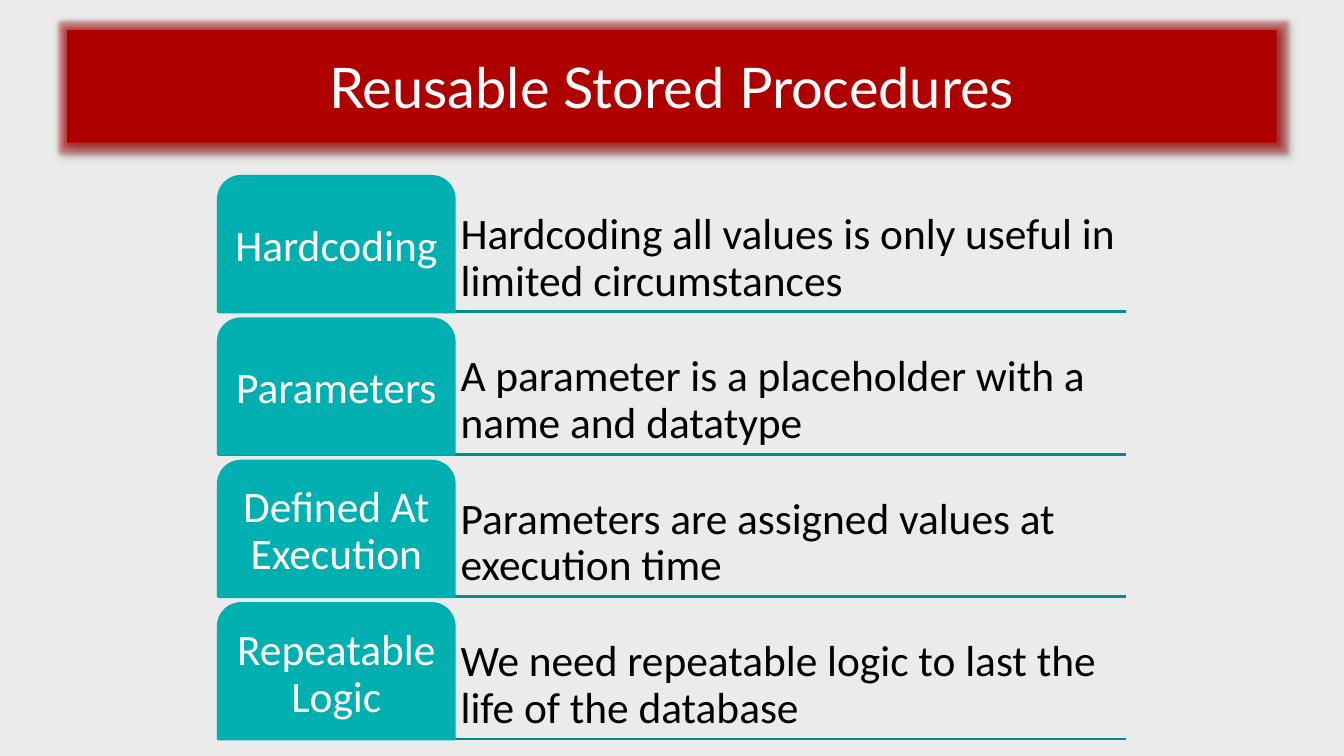
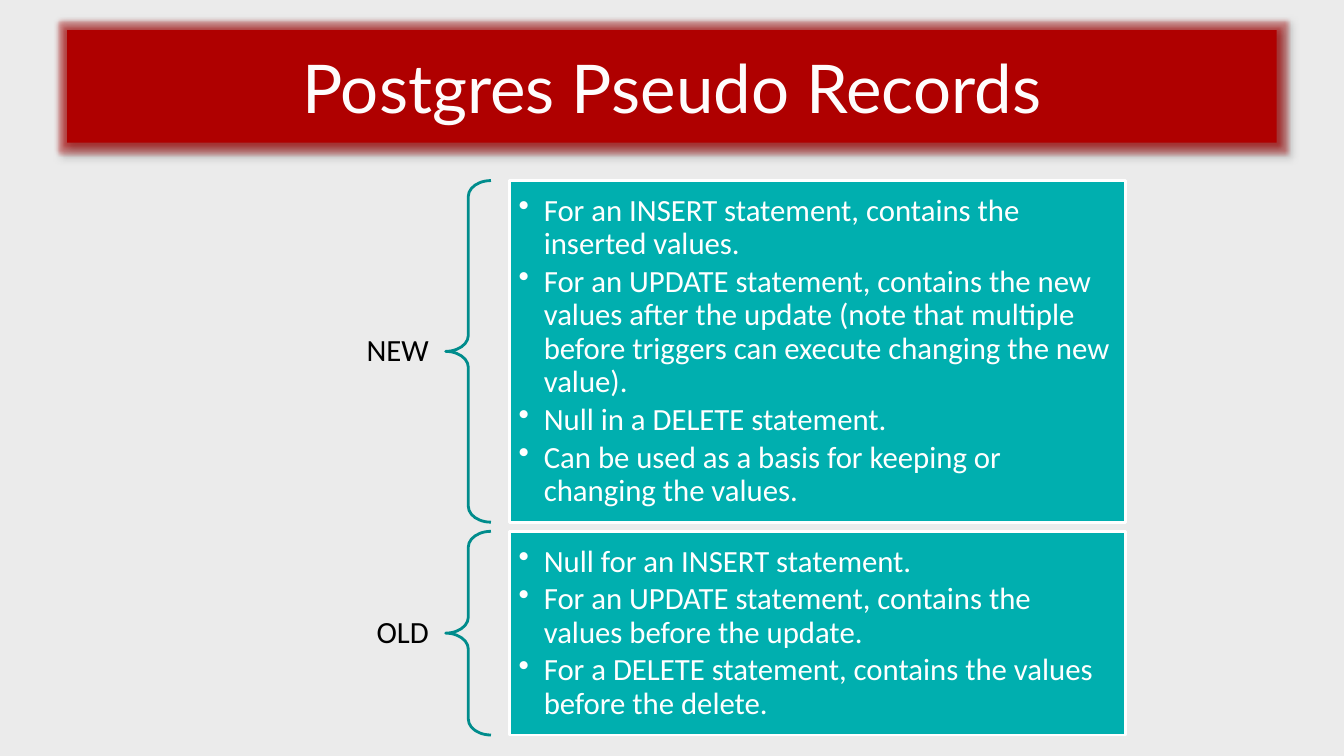
"""Build two slides on stored procedures and Postgres pseudo records."""
from lxml import etree
from pptx import Presentation
from pptx.dml.color import RGBColor
from pptx.enum.shapes import MSO_CONNECTOR, MSO_SHAPE
from pptx.enum.text import MSO_ANCHOR, PP_ALIGN
from pptx.oxml import parse_xml
from pptx.oxml.ns import nsdecls, qn
from pptx.util import Pt

STRAIGHT = MSO_CONNECTOR.STRAIGHT
RECTANGLE, TAB, BRACE = MSO_SHAPE.RECTANGLE, MSO_SHAPE.ROUND_2_SAME_RECTANGLE, MSO_SHAPE.LEFT_BRACE
MIDDLE, BOTTOM = MSO_ANCHOR.MIDDLE, MSO_ANCHOR.BOTTOM
LEFT, CENTER, RIGHT = PP_ALIGN.LEFT, PP_ALIGN.CENTER, PP_ALIGN.RIGHT

COLORS = {"background": "EBEBEB", "band": "AF0000", "title": "FEFCFC", "teal": "00AFAF",
          "dark teal": "008C8C", "white": "FFFFFF", "black": "000000"}
TITLE_EFFECTS = f"""<a:effectLst {nsdecls("a")}>
  <a:glow rad="63500"><a:srgbClr val="{COLORS['band']}"><a:alpha val="40000"/></a:srgbClr></a:glow>
  <a:outerShdw blurRad="50800" dist="38100" dir="2700000" algn="tl">
    <a:srgbClr val="{COLORS['black']}"><a:alpha val="40000"/></a:srgbClr>
  </a:outerShdw>
</a:effectLst>"""

CONTENT_LEFT, CONTENT_RIGHT = 156, 804
ROW_TOP, ROW_PITCH, ROW_HEIGHT, TAB_WIDTH = 126, 101.7, 96.8, 168.5
PANEL_TOP, PANEL_GAP, PANEL_LEFT = 129, 6.5, 364
BRACE_LEFT, BRACE_WIDTH, LABEL_HEIGHT = 318.3, 32.4, 34.5

ROWS = [
    ("Hardcoding", "Hardcoding all values is only useful in limited circumstances"),
    ("Parameters", "A parameter is a placeholder with a name and datatype"),
    ("Defined At Execution", "Parameters are assigned values at execution time"),
    ("Repeatable Logic", "We need repeatable logic to last the life of the database"),
]
RECORDS = [
    ("NEW", 244, [
        "For an INSERT statement, contains the inserted values.",
        "For an UPDATE statement, contains the new values after the update (note that multiple "
        "before triggers can execute changing the new value).",
        "Null in a DELETE statement.",
        "Can be used as a basis for keeping or changing the values.",
    ]),
    ("OLD", 145.5, [
        "Null for an INSERT statement.",
        "For an UPDATE statement, contains the values before the update.",
        "For a DELETE statement, contains the values before the delete.",
    ]),
]


def add_box(page, kind, left, top, width, height, fill=None, line=None):
    """Add a flat shape, or a text box when kind is None."""
    place = Pt(left), Pt(top), Pt(width), Pt(height)
    if kind is None:
        return page.shapes.add_textbox(*place)
    box = page.shapes.add_shape(kind, *place)
    box.shadow.inherit = False
    if fill:
        box.fill.solid()
        box.fill.fore_color.rgb = RGBColor.from_string(COLORS[fill])
    else:
        box.fill.background()
    if line:
        box.line.color.rgb = RGBColor.from_string(COLORS[line])
        box.line.width = Pt(2)
    else:
        box.line.fill.background()
    return box


def write(box, texts, size, color, align=LEFT, anchor=MIDDLE, insets=(4.5, 4.5),
          font="Calibri", spacing=0.9, bullets=False):
    """Fill a box with equally styled paragraphs."""
    frame = box.text_frame
    frame.word_wrap = True
    frame.vertical_anchor = anchor
    frame.margin_left = frame.margin_right = Pt(insets[0])
    frame.margin_top = frame.margin_bottom = Pt(insets[1])
    for index, text in enumerate(texts):
        para = frame.add_paragraph() if index else frame.paragraphs[0]
        para.text = text
        para.alignment = align
        para.line_spacing = spacing
        if bullets:
            para.space_after = Pt(3.3)
            properties = para._p.get_or_add_pPr()
            properties.set("marL", str(Pt(18)))
            properties.set("indent", str(-Pt(18)))
            etree.SubElement(properties, qn("a:buChar"), char="•")
        para.font.size = Pt(size)
        para.font.name = font
        para.font.color.rgb = RGBColor.from_string(COLORS[color])


deck = Presentation()
deck.slide_width, deck.slide_height = Pt(960), Pt(540)

pages = []
for title, size in [("Reusable Stored Procedures", 40), ("Postgres Pseudo Records", 48)]:
    page = deck.slides.add_slide(deck.slide_layouts[6])
    page.background.fill.solid()
    page.background.fill.fore_color.rgb = RGBColor.from_string(COLORS["background"])
    band = add_box(page, RECTANGLE, 48, 21.5, 864, 80.5, "band")
    properties = band._element.spPr
    properties.replace(properties.find(qn("a:effectLst")), parse_xml(TITLE_EFFECTS))
    write(band, [title], size, "title", CENTER, font="Lato", spacing=1.0)
    pages.append(page)
procedures_page, records_page = pages

for index, (label, description) in enumerate(ROWS):
    top = ROW_TOP + index * ROW_PITCH
    bottom = top + ROW_HEIGHT
    rule = procedures_page.shapes.add_connector(
        STRAIGHT, Pt(CONTENT_LEFT), Pt(bottom), Pt(CONTENT_RIGHT), Pt(bottom))
    rule.line.color.rgb = RGBColor.from_string(COLORS["dark teal"])
    rule.line.width = Pt(2)
    etree.SubElement(rule._element.spPr, qn("a:effectLst"))
    text_left = CONTENT_LEFT + TAB_WIDTH
    detail = add_box(procedures_page, None, text_left, top, CONTENT_RIGHT - text_left, ROW_HEIGHT)
    write(detail, [description], 31, "black", anchor=BOTTOM)
    tab = add_box(procedures_page, TAB, CONTENT_LEFT, top, TAB_WIDTH, ROW_HEIGHT, "teal", "teal")
    write(tab, [label], 31, "white", CENTER)

top = PANEL_TOP
for name, height, notes in RECORDS:
    label = add_box(records_page, None, CONTENT_LEFT, top + (height - LABEL_HEIGHT) / 2,
                    BRACE_LEFT - CONTENT_LEFT, LABEL_HEIGHT)
    write(label, [name], 22, "black", RIGHT, insets=(12, 4.5))
    brace = add_box(records_page, BRACE, BRACE_LEFT, top, BRACE_WIDTH, height, line="dark teal")
    brace.adjustments[0] = 0.35
    panel = add_box(records_page, RECTANGLE, PANEL_LEFT, top, CONTENT_RIGHT - PANEL_LEFT, height,
                    "teal", "white")
    write(panel, notes, 22, "white", insets=(6.5, 6.5), bullets=True)
    top += height + PANEL_GAP

deck.save("out.pptx")
